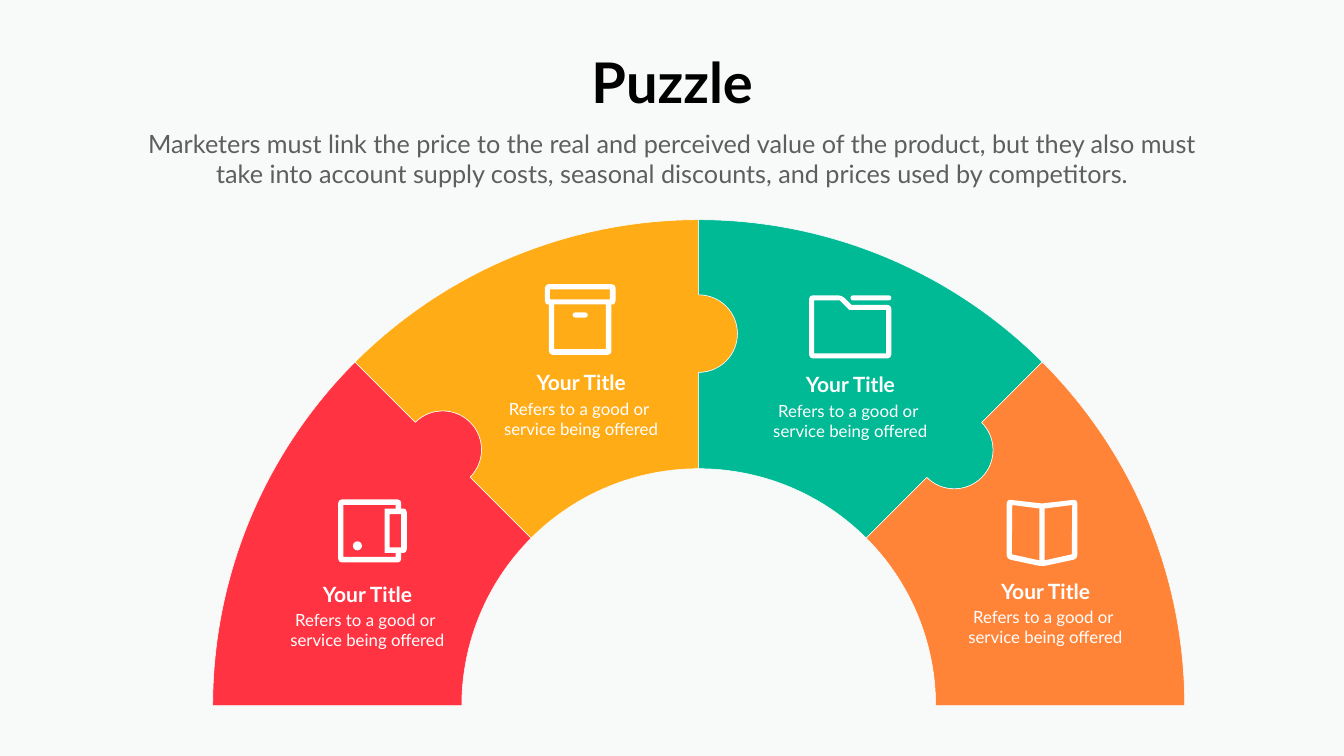
from math import cos, radians, sin, tan

from lxml import etree
from pptx import Presentation
from pptx.dml.color import RGBColor
from pptx.enum.shapes import MSO_SHAPE
from pptx.enum.text import MSO_ANCHOR, PP_ALIGN
from pptx.oxml.ns import qn
from pptx.util import Inches, Pt

OVAL, BAR = MSO_SHAPE.OVAL, MSO_SHAPE.ROUNDED_RECTANGLE
FONT, WHITE = "Lato", "FFFFFF"

TITLE = "Puzzle"
SUBTITLE = ("Marketers must link the price to the real and perceived value of the "
            "product, but they also must take into account supply costs, seasonal "
            "discounts, and prices used by competitors.")
CAPTION = "Your Title"
DETAIL = ["Refers to a good or ", "service being offered"]

# Pieces from left to right: colour, caption centre x, caption top
PIECES = [
    ("FF3342", 7.29, 11.48),
    ("FFAC17", 11.53, 7.29),
    ("00B995", 16.87, 7.33),
    ("FF8438", 20.74, 11.42),
]
CENTRE = (13.86, 14)
OUTER, INNER = 9.64, 4.7
KNOB = 0.77
KNOB_RADII = {135: 7.18, 90: 7.38, 45: 7.17}  # seam angle: distance from centre
SWEEP = 180 // len(PIECES)


def box(left, top, right, bottom):
    return [(left, top), (right, top), (right, bottom), (left, bottom)]


# Icons: a clockwise outer outline, the holes in it, and a small detail shape
ICONS = [
    {"outline": [(6.71, 9.91), (7.96, 9.91), (7.96, 10.09), (8.07, 10.09),
                 (8.07, 10.97), (7.96, 10.97), (7.96, 11.16), (6.71, 11.16)],
     "holes": [[(6.81, 10.02), (7.85, 10.02), (7.85, 10.09), (7.63, 10.09),
                (7.63, 10.97), (7.85, 10.97), (7.85, 11.05), (6.81, 11.05)],
               box(7.73, 10.2, 7.96, 10.86)],
     "detail": (OVAL, 7, 10.74, 0.18, 0.18)},
    {"outline": [(10.81, 5.64), (12.21, 5.64), (12.21, 6.04), (12.13, 6.04),
                 (12.13, 7.04), (10.89, 7.04), (10.89, 6.04), (10.81, 6.04)],
     "holes": [box(10.91, 5.74, 12.1, 5.94), box(10.99, 6.04, 12.02, 6.93)],
     "detail": (BAR, 11.36, 6.2, 0.3, 0.1)},
    {"outline": [(16.05, 5.86), (16.7, 5.86), (16.89, 6.05), (17.68, 6.05),
                 (17.68, 7.11), (16.05, 7.11)],
     "holes": [[(16.15, 5.96), (16.66, 5.96), (16.85, 6.15), (17.58, 6.15),
                (17.58, 7.01), (16.15, 7.01)]],
     "detail": (BAR, 16.87, 5.86, 0.81, 0.1)},
    {"outline": [(19.97, 9.91), (20.67, 9.99), (21.37, 9.91),
                 (21.37, 11.09), (20.67, 11.24), (19.97, 11.09)],
     "holes": [[(20.08, 10.02), (20.62, 10.09), (20.62, 11.12), (20.07, 11)],
               [(20.72, 10.09), (21.27, 10.02), (21.26, 11), (20.72, 11.12)]],
     "detail": None},
]


def color(hex_code):
    return RGBColor.from_string(hex_code)


def paint(sp, fill, line=None):
    sp.shadow.inherit = False
    sp.fill.solid()
    sp.fill.fore_color.rgb = color(fill)
    if line:
        sp.line.color.rgb = color(line)
        sp.line.width = Pt(0.75)
    else:
        sp.line.fill.background()


# A contour is a list of steps: one point is a line, three points are a curve.
def polar(radius, angle, centre=CENTRE):
    a = radians(angle)
    return centre[0] + radius * cos(a), centre[1] - radius * sin(a)


def arc(radius, start, end, centre=CENTRE):
    """One curve step along a circle, up to a quarter turn."""
    k = radius * 4 / 3 * tan(radians(end - start) / 4)
    return [polar(k, start + 90, polar(radius, start, centre)),
            polar(k, end - 90, polar(radius, end, centre)),
            polar(radius, end, centre)]


def knob(angle, turns):
    """Steps round the half circle that bulges clockwise from a seam."""
    if angle not in KNOB_RADII:
        return []
    centre = polar(KNOB_RADII[angle], angle)
    return [[polar(KNOB, angle + turns[0], centre)]] + [
        arc(KNOB, angle + a, angle + b, centre) for a, b in zip(turns, turns[1:])]


def piece_contour(start):
    end = start - SWEEP
    return [[polar(OUTER, start)], arc(OUTER, start, end),
            *knob(end, (0, -90, -180)), [polar(INNER, end)],
            arc(INNER, end, start), *knob(start, (-180, -90, 0))]


def rounded(points, radius=0.07):
    """Steps round a clockwise outline with its convex corners curved."""
    steps = []
    for i, (x, y) in enumerate(points):
        (px, py), (nx, ny) = points[i - 1], points[(i + 1) % len(points)]
        if (x - px) * (ny - y) < (y - py) * (nx - x):
            steps.append([(x, y)])
            continue

        def toward(qx, qy, distance):
            part = min(distance / ((qx - x) ** 2 + (qy - y) ** 2) ** 0.5, 0.5)
            return x + (qx - x) * part, y + (qy - y) * part

        steps += [[toward(px, py, radius)],
                  [toward(px, py, radius * 0.45), toward(nx, ny, radius * 0.45),
                   toward(nx, ny, radius)]]
    return steps


def add_outline(shapes, contours, fill, line=None):
    builder = None
    for contour in contours:
        points = [tuple(map(Inches, pt)) for step in contour for pt in step]
        if builder:
            builder.move_to(*points[0])
        else:
            builder = shapes.build_freeform(*points[0])
        builder.add_line_segments(points[1:], close=True)
    sp = builder.convert_to_shape()
    lines = sp._element.iter(qn("a:lnTo"))
    lines = iter(list(lines))
    for step in (step for contour in contours for step in contour[1:]):
        nodes = [next(lines) for _ in step]
        if len(nodes) == 3:
            curve = etree.Element(qn("a:cubicBezTo"))
            nodes[0].addprevious(curve)
            for node in nodes:
                curve.append(node[0])
                node.getparent().remove(node)
    paint(sp, fill, line)


def write(sp, lines, size, hex_code, bold=False):
    tf = sp.text_frame
    tf.word_wrap = True
    tf.vertical_anchor = MSO_ANCHOR.TOP
    for i, line in enumerate(lines):
        p = tf.add_paragraph() if i else tf.paragraphs[0]
        p.text = line
        p.alignment = PP_ALIGN.CENTER
        p.font.name, p.font.size, p.font.bold = FONT, Pt(size), bold
        p.font.color.rgb = color(hex_code)


def add_text(shapes, bounds, *style):
    write(shapes.add_textbox(*map(Inches, bounds)), *style)


def main():
    prs = Presentation()
    prs.slide_width, prs.slide_height = Inches(26.66), Inches(15)
    s = prs.slides.add_slide(prs.slide_layouts.get_by_name("Title Only"))
    s.background.fill.solid()
    s.background.fill.fore_color.rgb = color("F8FAF9")

    title = s.shapes.title
    title.left, title.top = Inches(11.56), Inches(0.9)
    title.width, title.height = Inches(3.55), Inches(1.45)
    write(title, [TITLE], 80, "000000", True)
    add_text(s.shapes, (2.68, 2.5, 21.3, 1.31), [SUBTITLE], 36, "5D5E5D")

    for i, (fill, _, _) in enumerate(PIECES):
        add_outline(s.shapes, [piece_contour(180 - SWEEP * i)], fill, WHITE)

    for icon in ICONS:
        holes = [[[pt] for pt in hole] for hole in icon["holes"]]
        add_outline(s.shapes, [rounded(icon["outline"])] + holes, WHITE)
        if icon["detail"]:
            kind, *bounds = icon["detail"]
            sp = s.shapes.add_shape(kind, *map(Inches, bounds))
            if kind == BAR:
                sp.adjustments[0] = 0.5
            paint(sp, WHITE)

    for _, x, top in PIECES:
        group = s.shapes.add_group_shape().shapes
        add_text(group, (x - 1.12, top, 2.24, 0.71), [CAPTION], 30, WHITE, True)
        add_text(group, (x - 1.71, top + 0.57, 3.41, 1.04), DETAIL, 24, WHITE)

    prs.save("out.pptx")


if __name__ == "__main__":
    main()
